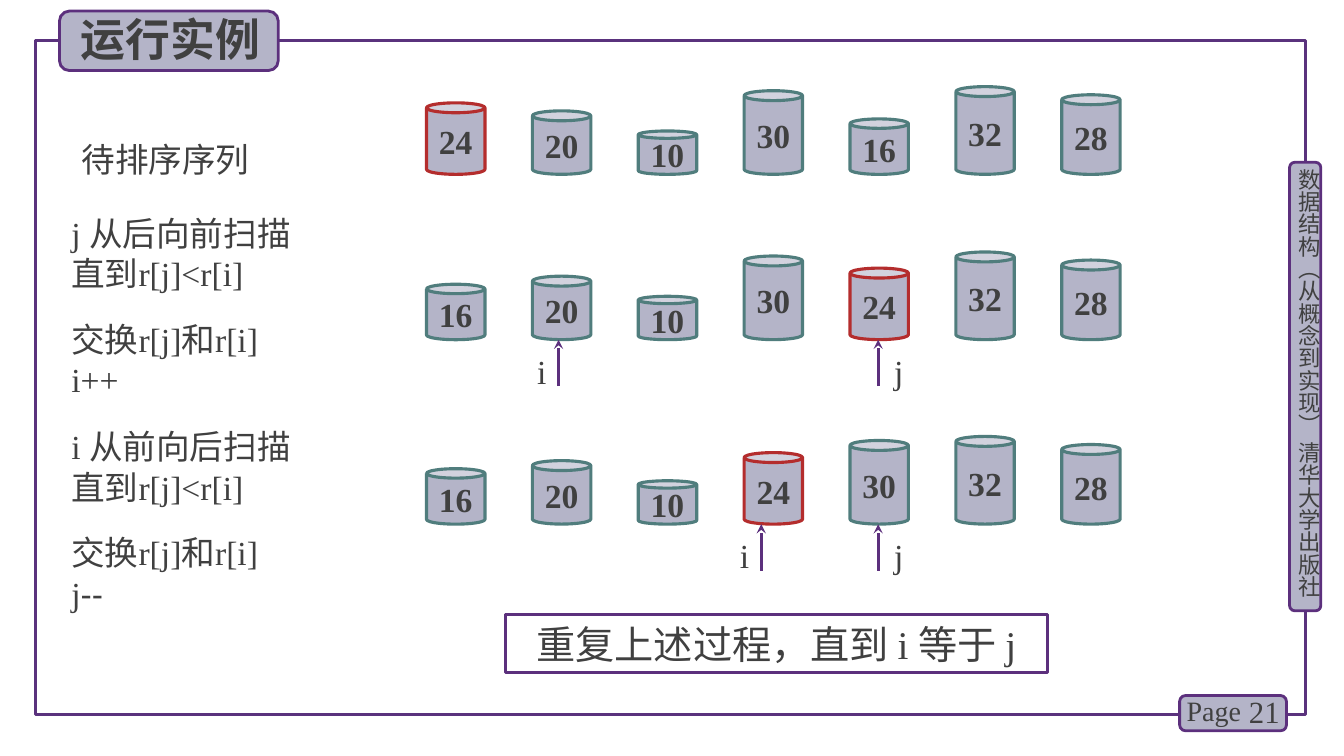
"""Build the worked-example slide for the partition step of quicksort."""
from lxml import etree
from pptx import Presentation
from pptx import util as u
from pptx.dml.color import RGBColor
from pptx.enum import shapes, text
from pptx.oxml.ns import qn

WIDTH, HEIGHT = 13.33, 7.5
LILAC = RGBColor(0xB4, 0xB4, 0xC8)
PURPLE = RGBColor(0x5C, 0x30, 0x7D)
FRAME_PURPLE = RGBColor(0x5A, 0x32, 0x7D)
TEAL = RGBColor(0x50, 0x7D, 0x7D)
RED = RGBColor(0xB4, 0x2D, 0x2D)
GREY = RGBColor(0x40, 0x40, 0x40)
SERIF, SANS, CJK = "Times New Roman", "Arial", "Noto Sans CJK SC"

TITLE = "运行实例"
SIDE_TEXT = "数据结构（从概念到实现） 清华大学出版社"
CONCLUSION = "重复上述过程，直到 i 等于 j"
PIVOT = 24
ROWS = [
    {"bottom": 1.73, "values": [24, 20, 10, 30, 16, 32, 28], "pointers": []},
    {"bottom": 3.37, "values": [16, 20, 10, 30, 24, 32, 28],
     "pointers": [("i", 5.54, -0.31), ("j", 8.71, 0.06)]},
    {"bottom": 5.2, "values": [16, 20, 10, 24, 30, 32, 28],
     "pointers": [("i", 7.55, -0.31), ("j", 8.71, 0.06)]},
]
STEPS = [
    (2.06, [["j 从后向前扫描"], ["直到r[j]<r[i]"]]),
    (3.11, [["交换r[j]和r[i]"], ["i++"]]),
    (4.18, [["i 从前向后扫描"], ["直到r[j]<r[i]"]]),
    (5.23, [["交换r[j]和r[i]"], ["j", ("--", SANS)]]),
]
FIRST_CAN, CAN_PITCH, CAN_WIDTH = 4.23, 1.05, 0.58

presentation = Presentation()
presentation.slide_width, presentation.slide_height = u.Inches(WIDTH), u.Inches(HEIGHT)
slide = presentation.slides.add_slide(presentation.slide_layouts[5])


def write(shape, paragraphs, size=24, font=SERIF, bold=False, align=text.PP_ALIGN.LEFT,
          anchor=text.MSO_ANCHOR.TOP, wrap=True):
    """Fill a shape with text; a string is a single paragraph."""
    frame = shape.text_frame
    frame.word_wrap, frame.vertical_anchor = wrap, anchor
    frame.auto_size = text.MSO_AUTO_SIZE.NONE
    for index, runs in enumerate([[paragraphs]] if isinstance(paragraphs, str) else paragraphs):
        paragraph = frame.add_paragraph() if index else frame.paragraphs[0]
        paragraph.alignment = align
        for part in runs:
            content, face = (part, font) if isinstance(part, str) else part
            run = paragraph.add_run()
            run.text = content
            run.font.size, run.font.bold, run.font.name = u.Pt(size), bold, face
            run.font.color.rgb = GREY
            latin = run.font._element.find(qn("a:latin"))
            east_asian = etree.Element(qn("a:ea"), typeface=CJK)
            latin.addnext(east_asian)
    return shape


def add_text(left, top, width, height, paragraphs, **style):
    box = slide.shapes.add_textbox(*map(u.Inches, (left, top, width, height)))
    return write(box, paragraphs, **style)


def add_shape(kind, left, top, width, height, line, weight=2.25, fill=None):
    shape = slide.shapes.add_shape(kind, *map(u.Inches, (left, top, width, height)))
    shape.shadow.inherit = False
    if fill is None:
        shape.fill.background()
    else:
        shape.fill.solid()
        shape.fill.fore_color.rgb = fill
    shape.line.color.rgb, shape.line.width = line, u.Pt(weight)
    return shape


def add_badge(left, top, width, height):
    return add_shape(shapes.MSO_SHAPE.ROUNDED_RECTANGLE, left, top, width, height,
                     PURPLE, 2, LILAC)


def add_can(column, bottom, value):
    height = 0.23 + 0.02 * value
    can = add_shape(shapes.MSO_SHAPE.CAN, FIRST_CAN + column * CAN_PITCH, bottom - height,
                    CAN_WIDTH, height, RED if value == PIVOT else TEAL, fill=LILAC)
    can.adjustments[0] = 0.17
    write(can, str(value), bold=True, align=text.PP_ALIGN.CENTER,
          anchor=text.MSO_ANCHOR.MIDDLE, wrap=False)


def add_pointer(name, x, bottom, label_shift):
    arrow = slide.shapes.add_connector(
        shapes.MSO_CONNECTOR.STRAIGHT, *map(u.Inches, (x, bottom + 0.46, x, bottom)))
    arrow.line.color.rgb, arrow.line.width = PURPLE, u.Pt(2.25)
    etree.SubElement(arrow.line._get_or_add_ln(), qn("a:tailEnd"), type="stealth")
    etree.SubElement(arrow._element.spPr, qn("a:effectLst"))
    add_text(x + label_shift, bottom + 0.06, 0.25, 0.5, name)


add_shape(shapes.MSO_SHAPE.RECTANGLE, 0.35, 0.4, 12.6, 6.69, FRAME_PURPLE)
add_badge(12.79, 1.61, 0.31, 4.45)
side = add_text(12.85, 1.67, 0.27, 4.49, SIDE_TEXT, size=16, font=CJK)
side_frame = side.text_frame
side_frame.margin_left = side_frame.margin_right = 0
side_frame.margin_top = side_frame.margin_bottom = 0
side_frame._txBody.bodyPr.set("vert", "eaVert")
add_badge(11.7, 6.9, 1.06, 0.35)
add_text(12.2, 6.86, 0.59, 0.4, "21", size=22, align=text.PP_ALIGN.RIGHT,
         anchor=text.MSO_ANCHOR.MIDDLE)
add_text(11.67, 6.83, 0.78, 0.44, "Page", size=20)

add_badge(0.59, 0.11, 2.17, 0.59)
title = slide.shapes.title
title.left, title.top, title.width, title.height = map(u.Inches, (0.7, 0.07, 2.12, 0.64))
write(title, TITLE, size=32, font=CJK, bold=True)
slide.shapes._spTree.append(title._element)

add_text(0.71, 1.33, 2.06, 0.5, "待排序序列", anchor=text.MSO_ANCHOR.MIDDLE)
for top, lines in STEPS:
    add_text(0.61, top, 2.47, 0.91, lines)
for row in ROWS:
    for column, value in enumerate(row["values"]):
        add_can(column, row["bottom"], value)
    for name, x, label_shift in row["pointers"]:
        add_pointer(name, x, row["bottom"], label_shift)

conclusion = add_shape(shapes.MSO_SHAPE.RECTANGLE, 5.01, 6.1, 5.38, 0.57, PURPLE)
write(conclusion, CONCLUSION, size=28, align=text.PP_ALIGN.CENTER)
presentation.save("out.pptx")
